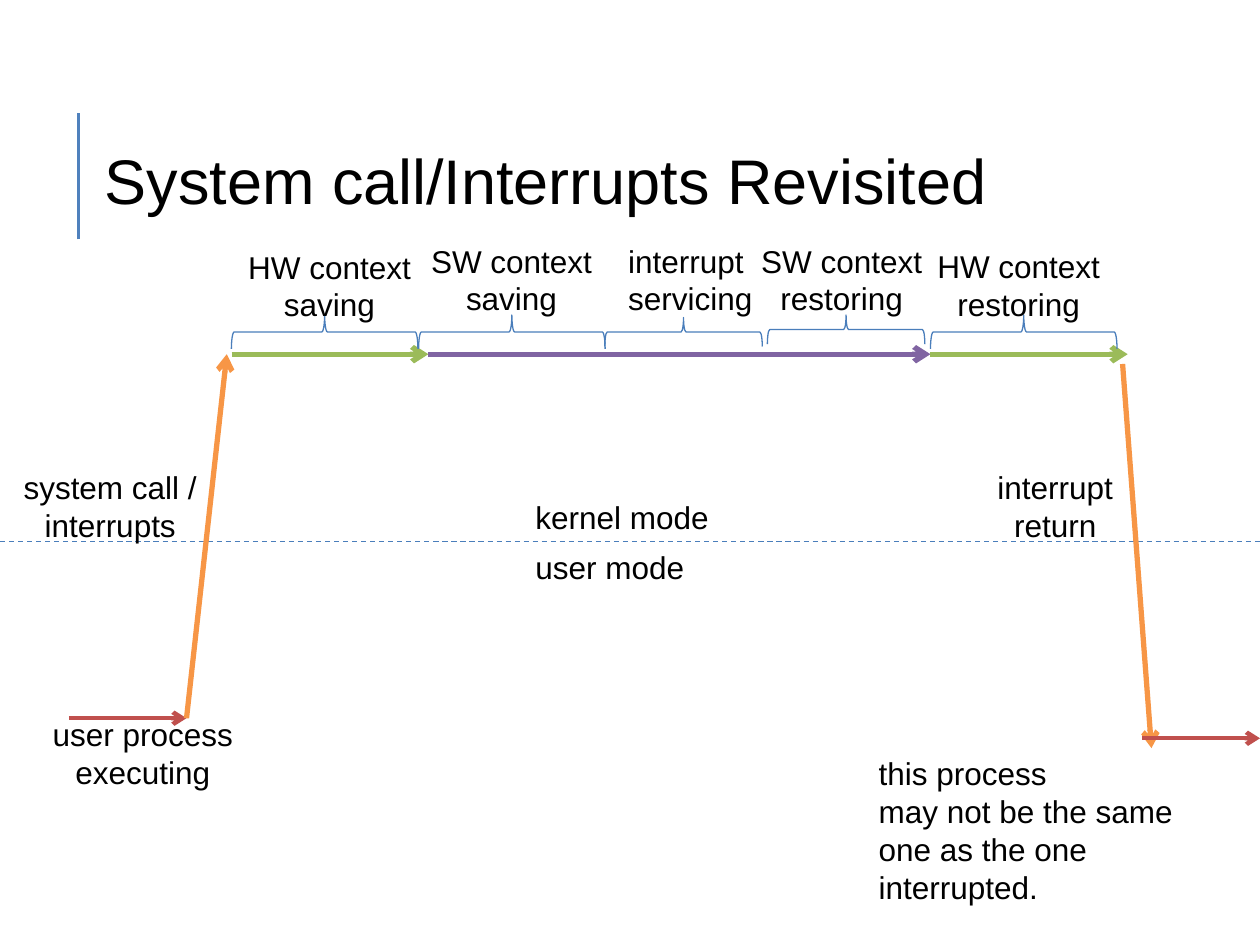
from lxml.etree import SubElement
from pptx import Presentation
from pptx.dml.color import RGBColor
from pptx.enum.dml import MSO_LINE
from pptx.enum.shapes import MSO_CONNECTOR, MSO_SHAPE
from pptx.enum.text import MSO_ANCHOR, MSO_AUTO_SIZE, PP_ALIGN
from pptx.oxml.ns import qn
from pptx.util import Pt

BLACK = RGBColor(0x00, 0x00, 0x00)
ACCENT = RGBColor(0x4F, 0x81, 0xBD)
BLUE = RGBColor(0x4A, 0x7E, 0xBB)
RED = RGBColor(0xC0, 0x50, 0x4D)      # user process
ORANGE = RGBColor(0xF7, 0x96, 0x46)   # mode switch
GREEN = RGBColor(0x9B, 0xBB, 0x59)    # hardware context
PURPLE = RGBColor(0x80, 0x64, 0xA2)   # software context and servicing

LEFT, CENTER = PP_ALIGN.LEFT, PP_ALIGN.CENTER


def write(frame, lines, size=18, aligns=(LEFT,), spacing=None):
    """Write one paragraph per line; the last alignment serves the rest."""
    for index, line in enumerate(lines):
        paragraph = frame.paragraphs[0] if index == 0 else frame.add_paragraph()
        paragraph.text = line
        paragraph.alignment = aligns[min(index, len(aligns) - 1)]
        paragraph.line_spacing = spacing
        paragraph.font.name = "Arial"
        paragraph.font.size = Pt(size)
        paragraph.font.color.rgb = BLACK


def add_title(slide, text):
    title = slide.shapes.title
    title.left, title.top, title.width, title.height = Pt(59.8), Pt(82.6), Pt(648), Pt(45.6)
    frame = title.text_frame
    frame.margin_left = frame.margin_right = frame.margin_top = frame.margin_bottom = 0
    frame.vertical_anchor = MSO_ANCHOR.MIDDLE
    write(frame, [text], size=36, spacing=0.9)


def add_label(slide, lines, left, top, width, height=50.4, wrap=False, aligns=(CENTER,)):
    """Add a label; one that does not wrap takes its size from its text."""
    label = slide.shapes.add_textbox(Pt(left), Pt(top), Pt(width), Pt(height))
    label.text_frame.word_wrap = wrap
    if not wrap:
        label.text_frame.auto_size = MSO_AUTO_SIZE.SHAPE_TO_FIT_TEXT
    write(label.text_frame, lines, aligns=aligns)


def add_line(slide, start, end, color, weight, dash=None, arrow=False):
    line = slide.shapes.add_connector(
        MSO_CONNECTOR.STRAIGHT, *(Pt(value) for value in (*start, *end)))
    line.line.color.rgb = color
    line.line.width = Pt(weight)
    if dash:
        line.line.dash_style = dash
    if arrow:
        SubElement(line.line._get_or_add_ln(), qn("a:tailEnd"), type="arrow")
    SubElement(line._element.spPr, qn("a:effectLst"))


def add_brace(slide, left, top, length, depth):
    """Add a brace over a stretch of the timeline, its tip pointing up."""
    brace = slide.shapes.add_shape(
        MSO_SHAPE.RIGHT_BRACE, Pt(left + (length - depth) / 2),
        Pt(top + (depth - length) / 2), Pt(depth), Pt(length))
    brace.rotation = 270
    brace.shadow.inherit = False
    brace.fill.background()
    brace.line.color.rgb = BLUE
    brace.line.width = Pt(0.75)


def main():
    prs = Presentation()
    prs.slide_width, prs.slide_height = Pt(720), Pt(540)
    slide = prs.slides.add_slide(prs.slide_layouts[5])

    # Title with its accent line
    add_line(slide, (45, 136.8), (45, 64.8), ACCENT, 1.5)
    add_title(slide, "System call/Interrupts Revisited")

    # Border between the modes
    add_line(slide, (0, 309.5), (720, 309.5), BLUE, 0.75, dash=MSO_LINE.DASH)
    add_label(slide, ["kernel mode"], 298.8, 281.2, 115, 28.8, aligns=(LEFT,))
    add_label(slide, ["user mode"], 298.8, 309.6, 101, 28.8, aligns=(LEFT,))

    # Path of execution
    kernel_y = 202.4
    for start, end, color, weight in (
        ((39.4, 410.4), (106.6, 410.4), RED, 2.5),
        ((106.6, 410.4), (129.6, kernel_y), ORANGE, 3),
        ((132.3, kernel_y), (244.8, kernel_y), GREEN, 3),
        ((244.8, kernel_y), (531.7, kernel_y), PURPLE, 3),
        ((531.7, kernel_y), (644.4, kernel_y), GREEN, 3),
        ((641.5, 208), (658, 427.5), ORANGE, 3),
        ((652.5, 421.9), (720, 421.9), RED, 2.5),
    ):
        add_line(slide, start, end, color, weight, arrow=True)

    # Kernel phases
    for left, top, length, depth in (
        (132.2, 180, 106.6, 19.4),
        (239.2, 180, 106.6, 19.4),
        (345.6, 181.4, 90, 16.6),
        (438.5, 180, 90, 16.6),
        (531.7, 180, 106.6, 19.4),
    ):
        add_brace(slide, left, top, length, depth)
    for phase, left, top, width in (
        ("HW context saving", 118.1, 138, 140.4),
        ("SW context saving", 233.3, 134.6, 118.1),
        ("SW context restoring", 421.9, 134.6, 118.1),
        ("HW context restoring", 511.9, 137.5, 140.4),
    ):
        add_label(slide, [phase], left, top, width, wrap=True)
    add_label(slide, ["interrupt ", "servicing"], 350.5, 134.6, 88)

    # Mode switches and user process
    add_label(slide, ["system call /", "interrupts"], 5, 264, 116)
    add_label(slide, ["interrupt", "return"], 561, 264, 84)
    add_label(slide, ["user process", "executing"], 23, 405.2, 117.4, aligns=(LEFT, CENTER))
    add_label(slide, ["this process", "may not be the same one as the one interrupted."],
              495, 427.5, 211, 115.2, wrap=True, aligns=(LEFT,))

    prs.save("out.pptx")


if __name__ == "__main__":
    main()
